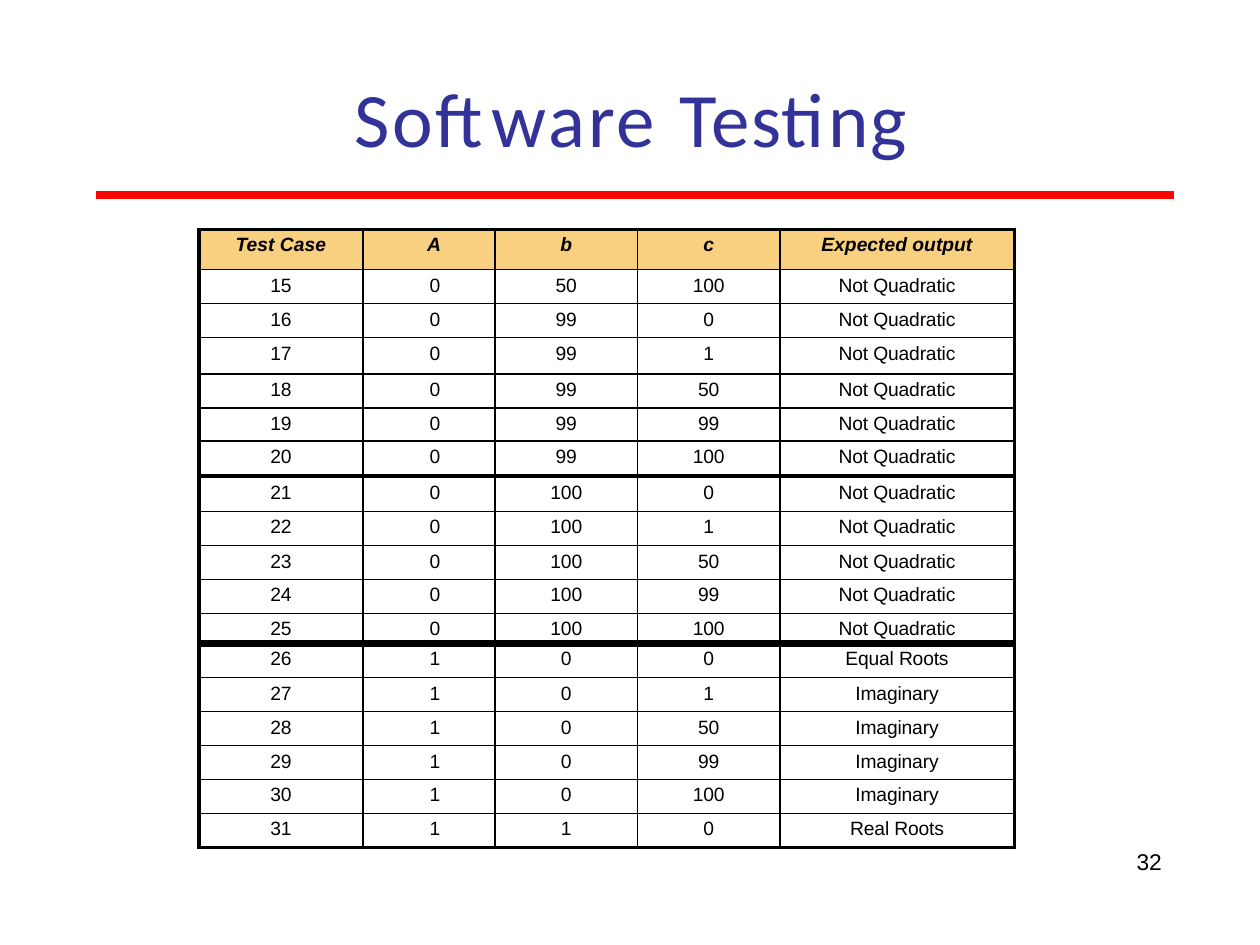
"""Build the slide listing test cases 15 to 31 for a quadratic equation solver."""
from dataclasses import dataclass
from typing import Any, NamedTuple

from lxml import etree
from pptx import Presentation
from pptx import util as u
from pptx.dml import color
from pptx.enum import shapes, text
from pptx.oxml import ns


@dataclass(frozen=True)
class Theme:
    """Colours, fonts and type sizes of the slide."""
    heading: str = "323299"
    rule: str = "FF0000"
    ink: str = "000000"
    header_fill: str = "F8D07F"
    title_font: str = "Calibri"
    body_font: str = "Arial"
    title_size: float = 44
    cell_size: float = 11
    number_size: float = 13


class Piece(NamedTuple):
    """Words with their letter spacing in points."""
    words: str
    spacing: float = 0


class Group(NamedTuple):
    """Successive test cases that share A and b, as pairs of c and output."""
    a: int
    b: int
    outcomes: list[tuple[int, str]]


class Layout(NamedTuple):
    """Line spacing, left indent and alignment of a paragraph."""
    leading: float | None = None
    indent: float = 0
    align: Any = text.PP_ALIGN.LEFT


THEME = Theme()
NOT_QUADRATIC = "Not Quadratic"
HEADINGS = ["Test Case", "A", "b", "c", "Expected output"]
FIRST_CASE = 15
GROUPS = [
    Group(0, 50, [(100, NOT_QUADRATIC)]),
    Group(0, 99, [(c, NOT_QUADRATIC) for c in (0, 1, 50, 99, 100)]),
    Group(0, 100, [(c, NOT_QUADRATIC) for c in (0, 1, 50, 99, 100)]),
    Group(1, 0, [(0, "Equal Roots")] + [(c, "Imaginary") for c in (1, 50, 99, 100)]),
    Group(1, 1, [(0, "Real Roots")]),
]
COLUMN_WIDTHS = [1.3, 1.05, 1.13, 1.13, 1.86]
ROW_HEIGHT = 0.27
ROW_HEIGHTS = {0: 0.32, 3: 0.29, 5: 0.26, 6: 0.28, 7: 0.28, 11: 0.24}
LEADING = 15.2
LEADINGS = {4: 15.3, 7: 15.5, 9: 15.3, 12: 14.8, 14: 15.3}
GRID_LINE, FRAME_LINE = 1, 2.25
GROUP_LINES = {7: 3, 12: 4.25}


def write(paragraph: Any, pieces: list[Piece], layout: Layout, style: dict[str, Any],
          ink: str = THEME.ink) -> None:
    """Fill a paragraph with evenly styled pieces of text."""
    paragraph.alignment = layout.align
    if layout.leading:
        paragraph.line_spacing = u.Pt(layout.leading)
    if layout.indent:
        paragraph._p.get_or_add_pPr().set("marL", str(u.Inches(layout.indent)))
    for piece in pieces:
        run = paragraph.add_run()
        run.text = piece.words
        for attribute, value in style.items():
            setattr(run.font, attribute, value)
        run.font.color.rgb = color.RGBColor.from_string(ink)
        if piece.spacing:
            run._r.get_or_add_rPr().set("spc", str(round(piece.spacing * 100)))


def clear_insets(frame: Any, top: float = 0) -> None:
    """Remove the inner margins, keeping an optional one at the top."""
    for side in ("left", "right", "bottom"):
        setattr(frame, f"margin_{side}", 0)
    frame.margin_top = u.Inches(top)


def add_borders(cell: Any, widths: dict[str, float]) -> None:
    """Draw the cell's sides in the given widths."""
    properties = cell._tc.get_or_add_tcPr()
    for position, (side, width) in enumerate(widths.items()):
        line = etree.Element(ns.qn(f"a:ln{side}"), w=str(u.Pt(width)))
        fill = etree.SubElement(line, ns.qn("a:solidFill"))
        etree.SubElement(fill, ns.qn("a:srgbClr"), val=THEME.ink)
        properties.insert(position, line)


def add_title(slide: Any) -> None:
    """Place and format the slide title."""
    title = slide.shapes.title
    place = {"left": 0.5, "top": 0.3, "width": 9, "height": 1.25}
    for attribute, value in place.items():
        setattr(title, attribute, u.Inches(value))
    frame = title.text_frame
    clear_insets(frame, 0.01)
    frame.word_wrap = True
    frame.vertical_anchor = text.MSO_ANCHOR.MIDDLE
    style = {"name": THEME.title_font, "size": u.Pt(THEME.title_size)}
    write(frame.paragraphs[0], [Piece("Software ", 1.7), Piece("Testing", 0.9)],
          Layout(indent=0.01, align=text.PP_ALIGN.CENTER), style, THEME.heading)


def add_rule(slide: Any) -> None:
    """Draw the red rule under the title."""
    y = u.Inches(1.55)
    rule = slide.shapes.add_connector(
        shapes.MSO_CONNECTOR.STRAIGHT, u.Inches(0.76), y, u.Inches(9.32), y)
    rule.line.color.rgb = color.RGBColor.from_string(THEME.rule)
    rule.line.width = u.Pt(4.5)
    etree.SubElement(rule._element.spPr, ns.qn("a:effectLst"))


def case_rows() -> list[list[str]]:
    """Number the test cases and spell out their values."""
    cases = [(group.a, group.b, c, output)
             for group in GROUPS for c, output in group.outcomes]
    return [[str(value) for value in (number, *case)]
            for number, case in enumerate(cases, FIRST_CASE)]


def add_cases(slide: Any) -> None:
    """Draw the table of test cases."""
    rows = [HEADINGS, *case_rows()]
    heights = [ROW_HEIGHTS.get(i, ROW_HEIGHT) for i in range(len(rows))]
    cases = slide.shapes.add_table(
        len(rows), len(HEADINGS), u.Inches(1.58), u.Inches(1.82),
        u.Inches(sum(COLUMN_WIDTHS)), u.Inches(sum(heights))).table
    cases.horz_banding = cases.first_row = False
    for column, width in zip(cases.columns, COLUMN_WIDTHS):
        column.width = u.Inches(width)
    across = [FRAME_LINE, *[GRID_LINE] * (len(HEADINGS) - 1), FRAME_LINE]
    down = [FRAME_LINE, *[GROUP_LINES.get(i, GRID_LINE) for i in range(1, len(rows))],
            FRAME_LINE]
    for r, (values, height) in enumerate(zip(rows, heights)):
        cases.rows[r].height = u.Inches(height)
        header = r == 0
        style = {"name": THEME.body_font, "size": u.Pt(THEME.cell_size),
                 "bold": header, "italic": header}
        leading = LEADINGS.get(r, LEADING)
        for c, value in enumerate(values):
            cell = cases.cell(r, c)
            clear_insets(cell)
            if header:
                cell.fill.solid()
                cell.fill.fore_color.rgb = color.RGBColor.from_string(THEME.header_fill)
            else:
                cell.fill.background()
            if c == 1:
                layout = Layout(leading, 0.51 if header else 0.53)
            else:
                layout = Layout(leading, align=text.PP_ALIGN.CENTER)
            spacing = -0.1 if len(value) > 1 and not header else 0
            write(cell.text_frame.paragraphs[0], [Piece(value, spacing)], layout, style)
            add_borders(cell, {"L": across[c], "R": across[c + 1],
                               "T": down[r], "B": down[r + 1]})


def add_page_number(slide: Any) -> None:
    """Write the page number at the lower right."""
    place = [u.Inches(value) for value in (9, 6.76, 0.25, 0.18)]
    frame = slide.shapes.add_textbox(*place).text_frame
    clear_insets(frame)
    frame.word_wrap = True
    style = {"name": THEME.body_font, "size": u.Pt(THEME.number_size)}
    write(frame.paragraphs[0], [Piece("32")], Layout(13.2, 0.02), style)


def main() -> None:
    """Build and save the presentation."""
    deck = Presentation()
    deck.slide_width, deck.slide_height = u.Inches(10), u.Inches(7.5)
    slide = deck.slides.add_slide(deck.slide_layouts[5])
    for draw in (add_rule, add_cases, add_page_number, add_title):
        draw(slide)
    deck.save("out.pptx")


if __name__ == "__main__":
    main()
